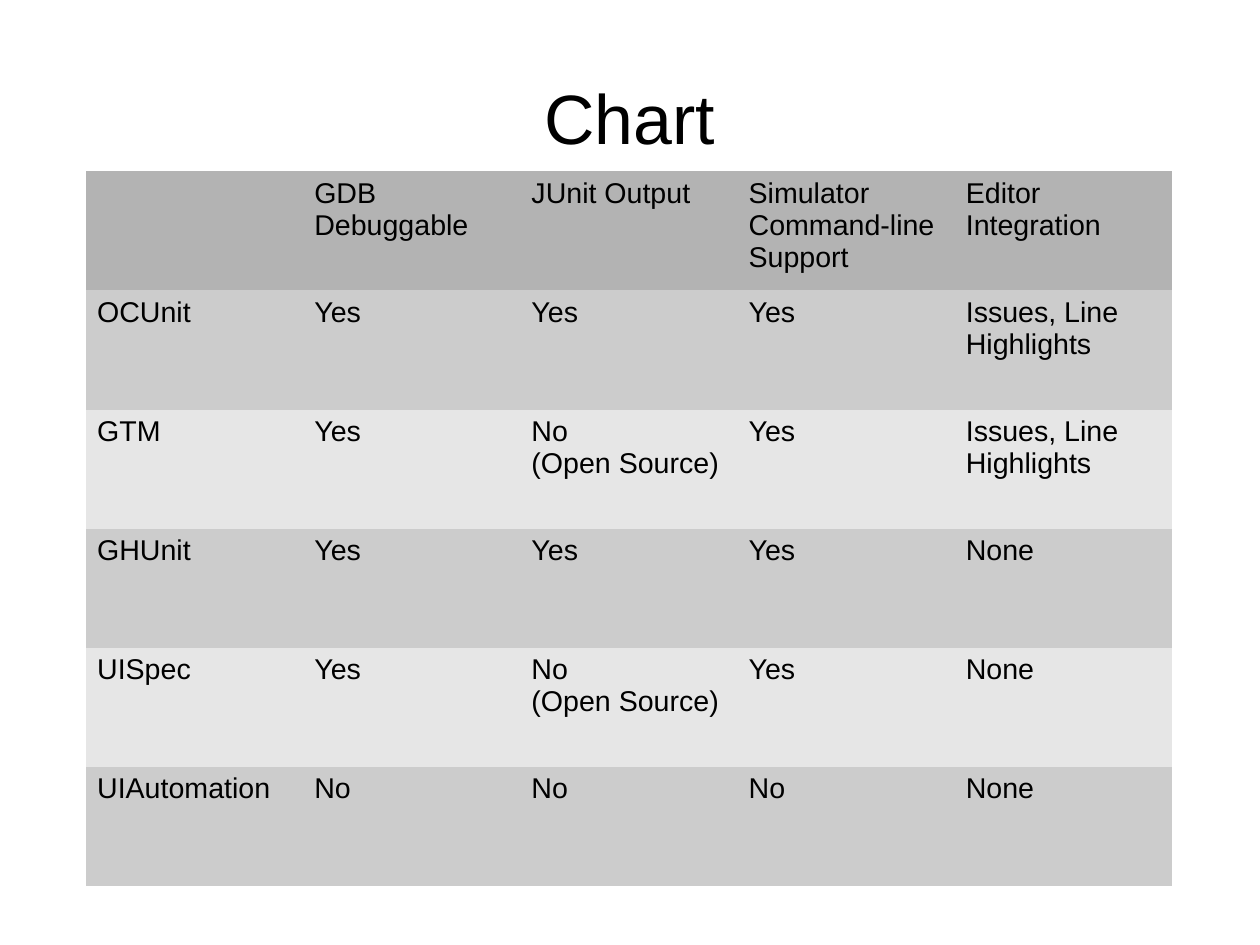
from dataclasses import dataclass

from pptx import Presentation
from pptx.dml.color import RGBColor as RGB
from pptx.enum.text import MSO_ANCHOR as Anchor, PP_ALIGN as Align
from pptx.util import Inches, Pt


@dataclass(frozen=True)
class Theme:
    """Colours and type of the slide."""
    font: str = "Arial"
    title_size: int = 44
    body_size: int = 18
    ink: RGB = RGB(0x00, 0x00, 0x00)
    header: RGB = RGB(0xB3, 0xB3, 0xB3)
    bands: tuple = (RGB(0xCC, 0xCC, 0xCC), RGB(0xE6, 0xE6, 0xE6))


THEME = Theme()
CM_PER_INCH = 2.54
NO_STYLE_NO_GRID = "{2D5ABB26-0587-4C30-8999-92F81FD0307C}"
FRAMEWORKS = [
    ["", "GDB Debuggable", "JUnit Output", "Simulator Command-line Support", "Editor Integration"],
    ["OCUnit", "Yes", "Yes", "Yes", "Issues, Line Highlights"],
    ["GTM", "Yes", "No\n(Open Source)", "Yes", "Issues, Line Highlights"],
    ["GHUnit", "Yes", "Yes", "Yes", "None"],
    ["UISpec", "Yes", "No\n(Open Source)", "Yes", "None"],
    ["UIAutomation", "No", "No", "No", "None"],
]


def add_text(tf, text, size, align=Align.LEFT):
    """Write each line of text as a paragraph with one run."""
    for i, line in enumerate(text.split("\n")):
        p = tf.add_paragraph() if i else tf.paragraphs[0]
        p.alignment = align
        r = p.add_run()
        r.text = line
        r.font.name = THEME.font
        r.font.size = Pt(size)
        r.font.color.rgb = THEME.ink


def add_title(s, text, left, top, width, height):
    """Place a centred title in the given box."""
    tf = s.shapes.add_textbox(left, top, width, height).text_frame
    tf.word_wrap = True
    tf.vertical_anchor = Anchor.MIDDLE
    tf.margin_left = tf.margin_right = tf.margin_top = tf.margin_bottom = 0
    add_text(tf, text, THEME.title_size, Align.CENTER)


def add_comparison(s, rows, left, top, width, height):
    """Place an even, banded table in the given box."""
    frame = s.shapes.add_table(len(rows), len(rows[0]), left, top, width, height)
    frame.element.xpath(".//a:tableStyleId")[0].text = NO_STYLE_NO_GRID
    table = frame.table
    table.first_row = table.horz_banding = False
    for i, row in enumerate(rows):
        fill = THEME.bands[(i - 1) % 2] if i else THEME.header
        for j, text in enumerate(row):
            cell = table.cell(i, j)
            cell.fill.solid()
            cell.fill.fore_color.rgb = fill
            if text:
                add_text(cell.text_frame, text, THEME.body_size)


def main():
    """Build and save the slide."""
    prs = Presentation()
    prs.slide_width = Inches(28 / CM_PER_INCH)
    prs.slide_height = Inches(21 / CM_PER_INCH)
    s = prs.slides.add_slide(prs.slide_layouts[6])
    add_title(s, "Chart", Inches(0.55), Inches(0.33), Inches(9.92), Inches(1.38))
    add_comparison(s, FRAMEWORKS, Inches(0.75), Inches(1.5), Inches(9.5), Inches(6.25))
    prs.save("out.pptx")


if __name__ == "__main__":
    main()
